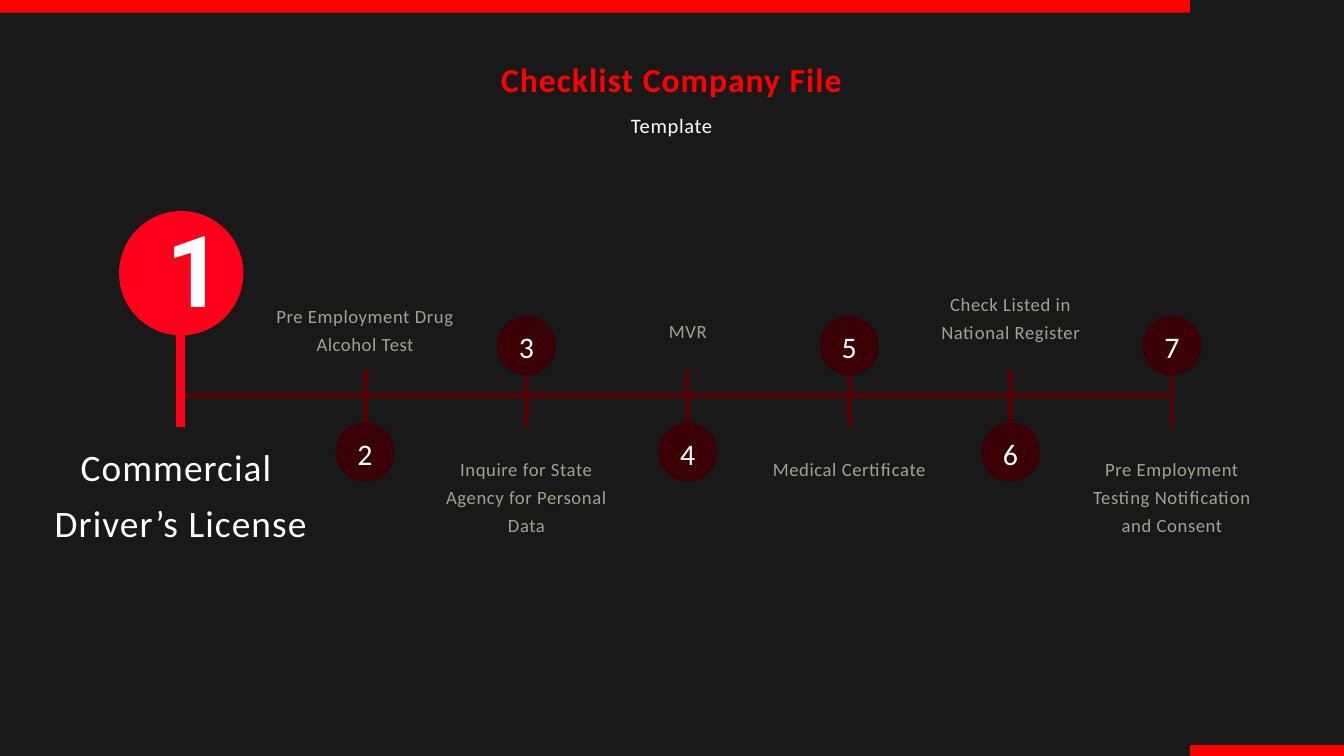
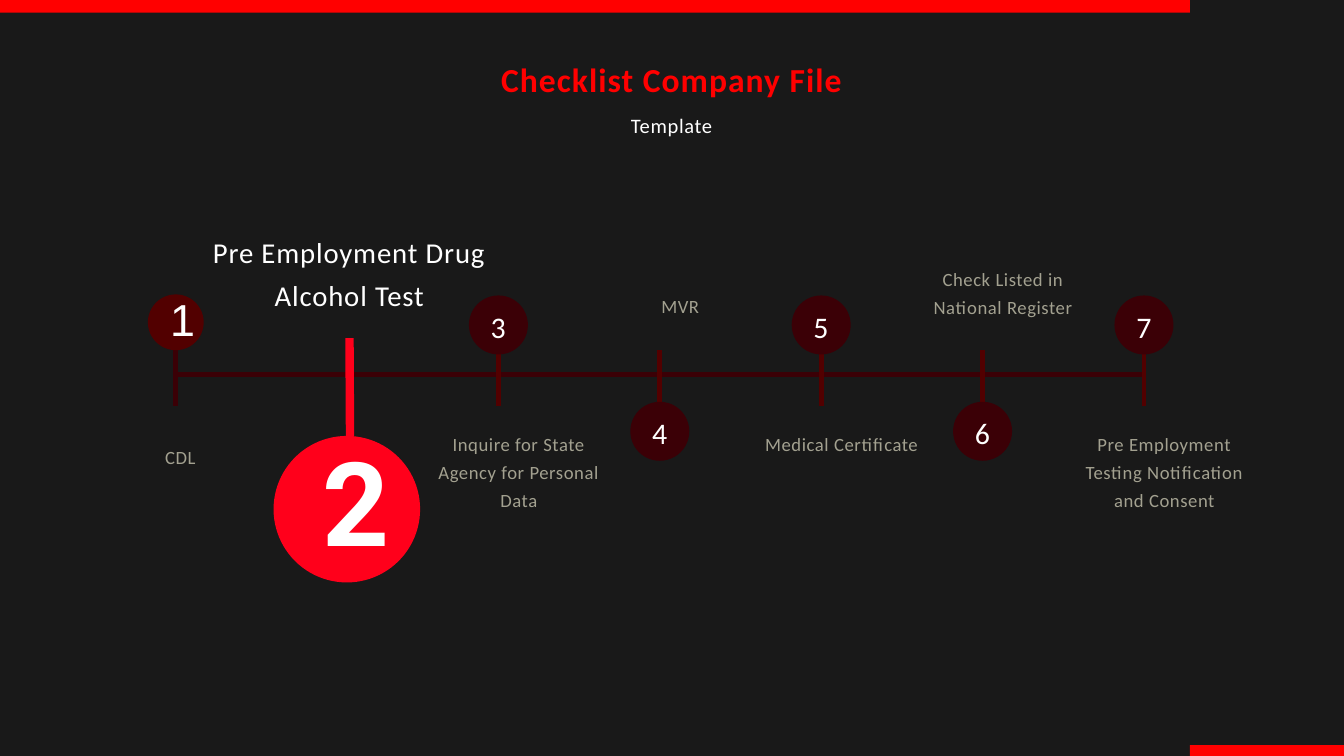
from pptx import Presentation
from pptx.dml.color import RGBColor
from pptx.enum.shapes import MSO_CONNECTOR as Connector, MSO_SHAPE as Preset
from pptx.enum.text import MSO_ANCHOR as Anchor, MSO_AUTO_SIZE as AutoSize, PP_ALIGN as Align
from pptx.oxml.ns import qn
from pptx.util import Cm, Pt
from lxml import etree

COLORS = {
    "background": "191919", "accent": "FF0000", "highlight": "FF001B",
    "maroon": "520000", "dark": "3B0006", "white": "FFFFFF", "muted": "A3A190",
}

# Content (all lengths in cm)
TITLE, SUBTITLE = "Checklist Company File", "Template"

# number: (label, label top relative to the axis, label height)
STEPS = {
    2: ("Pre Employment Drug Alcohol Test", -3.66, 2.06),
    3: ("Inquire for State Agency for Personal Data", 2.13, 3.07),
    4: ("MVR", -3.07, 1.02),
    5: ("Medical Certificate", 2.13, 1.02),
    6: ("Check Listed in National Register", -4.09, 2.06),
    7: ("Pre Employment Testing Notification and Consent", 2.13, 3.07),
}

# Each callout is a step that is placed apart from the regular row
TIMELINES = [
    dict(
        axis=(6.99, 44.32, 14.96), axis_color="maroon", first_x=7.7,
        label_shift=(0, 0), steps=range(2, 8),
        callouts=[
            dict(number="1", number_box=(6.3, 8.61, 0.91, 3.96),
                 number_format=dict(size=106.5, font="Roboto", bold=True),
                 circle=(4.5, 7.98, 4.7), circle_color="highlight",
                 stem=(6.83, 16.15, 6.83, 12.42), stem_color="highlight", stem_width=9,
                 label=["Commercial ", "Driver’s License"],
                 label_box=(0.03, 16.38, 13.61, 4.06), label_format=dict(size=40)),
        ],
    ),
    dict(
        axis=(6.58, 43.26, 14.17), axis_color="dark", first_x=6.64,
        label_shift=(0.77, -0.15), steps=range(3, 8),
        callouts=[
            dict(number="1", number_box=(6.43, 11.38, 0.41, 1.75),
                 number_format=dict(size=48, font="Arial"),
                 circle=(5.59, 11.13, 2.11), circle_color="maroon",
                 stem=(6.65, 15.34, 6.65, 13.24), stem_color="dark", stem_width=5.25,
                 label=["CDL"], label_box=(3.43, 16.66, 6.78, 1.02),
                 label_format=dict(size=20, color="muted")),
            dict(number="2", number_box=(12.19, 17.12, 1.07, 4.65),
                 number_format=dict(size=125.2, font="Roboto", bold=True),
                 circle=(10.34, 16.48, 5.54), circle_color="highlight",
                 stem=(13.23, 16.51, 13.21, 12.78), stem_color="highlight", stem_width=9,
                 label=["Pre Employment Drug Alcohol Test"],
                 label_box=(8, 8.56, 10.41, 3.12), label_format=dict(size=30.8)),
        ],
    ),
]

# Shared geometry
SLIDE_WIDTH, SLIDE_HEIGHT = 50.8, 28.58
BAND_SPLIT = 44.98
STEP_GAP = 6.1
CIRCLE_SIZE, UPPER_CIRCLE, LOWER_CIRCLE = 2.23, -3, 1.02
TICK_BOTTOM, TICK_TOP, LINE_WIDTH = 1.18, -0.94, 5.25
LABEL_WIDTH = 6.78


def color(name):
    return RGBColor.from_string(COLORS[name])


def write_text(shape, lines, size=20, color_name="white", font="Calibri", bold=False,
               leading=1.5, tracking=0.03, inset=0, middle=False):
    """Fill a shape with centred lines; leading and tracking scale with the size."""
    frame = shape.text_frame
    frame.word_wrap = True
    frame.auto_size = AutoSize.NONE if middle else AutoSize.SHAPE_TO_FIT_TEXT
    frame.vertical_anchor = Anchor.MIDDLE if middle else Anchor.TOP
    frame.margin_left = frame.margin_right = Cm(inset)
    frame.margin_top = frame.margin_bottom = Cm(inset)
    for index, line in enumerate(lines):
        paragraph = frame.add_paragraph() if index else frame.paragraphs[0]
        paragraph.alignment = Align.CENTER
        paragraph.line_spacing = Pt(round(size * leading, 1))
        paragraph.space_before = Pt(0)
        run = paragraph.add_run()
        run.text = line
        run.font.name, run.font.size, run.font.bold = font, Pt(size), bold
        run.font.color.rgb = color(color_name)
        if tracking:
            run._r.get_or_add_rPr().set("spc", str(round(size * tracking * 10) * 10))


def add_text(slide, lines, box, color="white", **text_format):
    shape = slide.shapes.add_textbox(*map(Cm, box))
    write_text(shape, lines, color_name=color, **text_format)


def add_filled(slide, preset, box, fill):
    shape = slide.shapes.add_shape(preset, *map(Cm, box))
    shape.shadow.inherit = False
    shape.fill.solid()
    shape.fill.fore_color.rgb = color(fill)
    shape.line.fill.background()


def add_line(slide, ends, line_color, width=LINE_WIDTH):
    line = slide.shapes.add_connector(Connector.STRAIGHT, *map(Cm, ends))
    line.line.color.rgb = color(line_color)
    line.line.width = Pt(width)
    etree.SubElement(line._element.spPr, qn("a:effectLst"))


def add_frame(slide):
    """Title, subtitle and the two corner bands."""
    headings = [
        (slide.shapes.title, TITLE, (8.38, 2.11, 34.01, 1.6),
         dict(size=36, color_name="accent", bold=True, leading=1.3)),
        (slide.placeholders[1], SUBTITLE, (8.38, 4.04, 34.01, 1.02), dict(size=22)),
    ]
    for shape, text, box, text_format in headings:
        shape.left, shape.top, shape.width, shape.height = map(Cm, box)
        write_text(shape, [text], **text_format)
    for box in [(0, 0, BAND_SPLIT, 0.48),
                (BAND_SPLIT, 28.17, SLIDE_WIDTH - BAND_SPLIT, SLIDE_HEIGHT - 28.17)]:
        add_filled(slide, Preset.RECTANGLE, box, "accent")


def add_step(slide, timeline, number):
    """Odd steps have the circle above the axis, even steps below it."""
    label, label_top, label_height = STEPS[number]
    axis_y = timeline["axis"][2]
    x = timeline["first_x"] + STEP_GAP * (number - 1)
    shift_x, shift_y = timeline["label_shift"]
    add_line(slide, (x, axis_y + TICK_BOTTOM, x, axis_y + TICK_TOP), "maroon")
    left = x - CIRCLE_SIZE / 2
    top = axis_y + (UPPER_CIRCLE if number % 2 else LOWER_CIRCLE)
    add_filled(slide, Preset.OVAL, (left, top, CIRCLE_SIZE, CIRCLE_SIZE), "dark")
    add_text(slide, [str(number)], (left + 0.21, top - 0.05, 1.8, 2.08),
             size=32, inset=0.15, middle=True)
    add_text(slide, [label], (x - LABEL_WIDTH / 2 + shift_x, axis_y + label_top + shift_y,
                              LABEL_WIDTH, label_height), color="muted")


def add_callout(slide, callout):
    add_line(slide, callout["stem"], callout["stem_color"], callout["stem_width"])
    left, top, size = callout["circle"]
    add_filled(slide, Preset.OVAL, (left, top, size, size), callout["circle_color"])
    add_text(slide, [callout["number"]], callout["number_box"],
             leading=1, tracking=0, **callout["number_format"])
    add_text(slide, callout["label"], callout["label_box"], **callout["label_format"])


def main():
    presentation = Presentation()
    presentation.slide_width, presentation.slide_height = Cm(SLIDE_WIDTH), Cm(SLIDE_HEIGHT)
    background = presentation.slide_master.background.fill
    background.solid()
    background.fore_color.rgb = color("background")

    for timeline in TIMELINES:
        slide = presentation.slides.add_slide(presentation.slide_layouts[0])
        add_frame(slide)
        start, end, axis_y = timeline["axis"]
        add_line(slide, (start, axis_y, end, axis_y), timeline["axis_color"])
        for number in timeline["steps"]:
            add_step(slide, timeline, number)
        for callout in timeline["callouts"]:
            add_callout(slide, callout)

    presentation.save("out.pptx")


if __name__ == "__main__":
    main()
